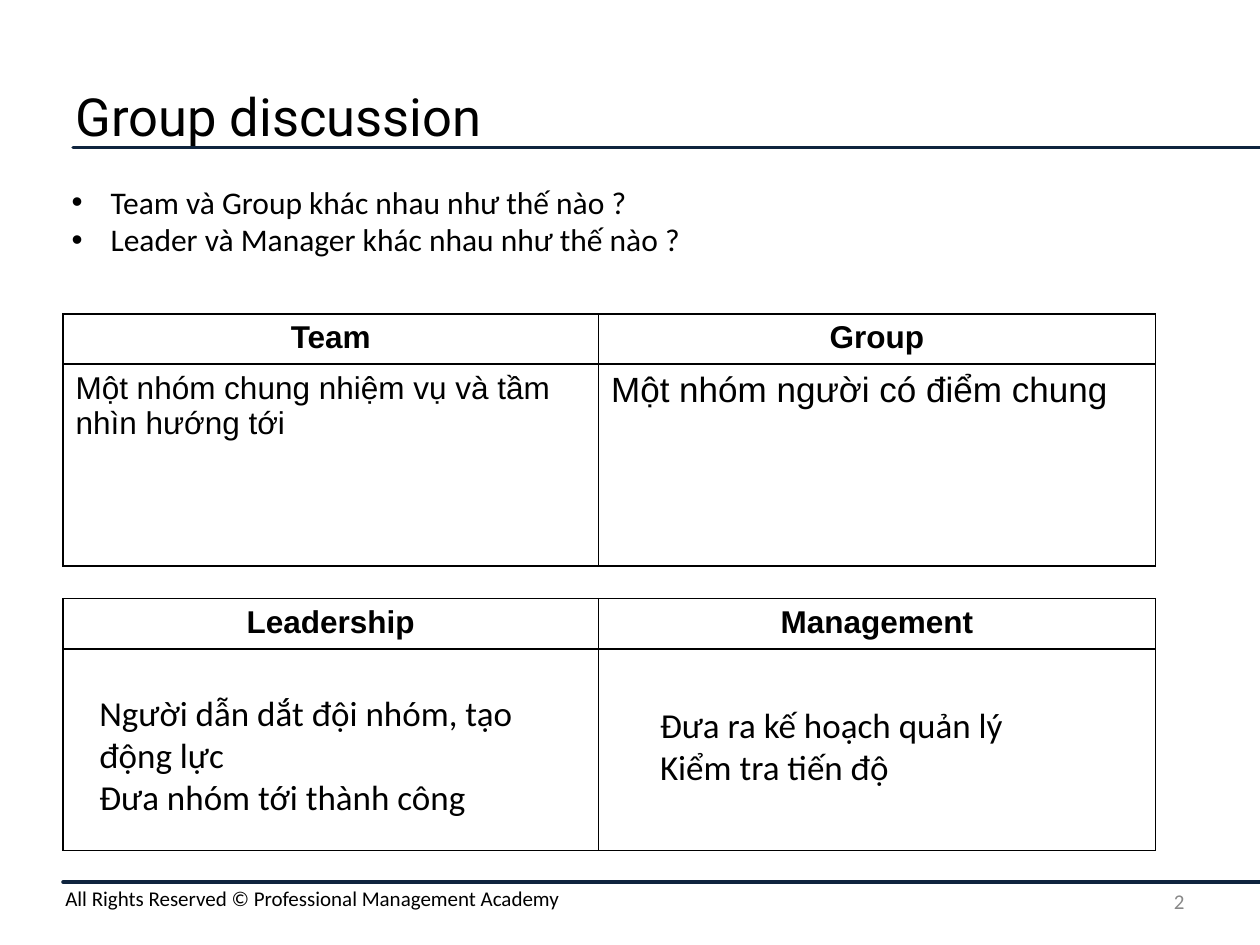
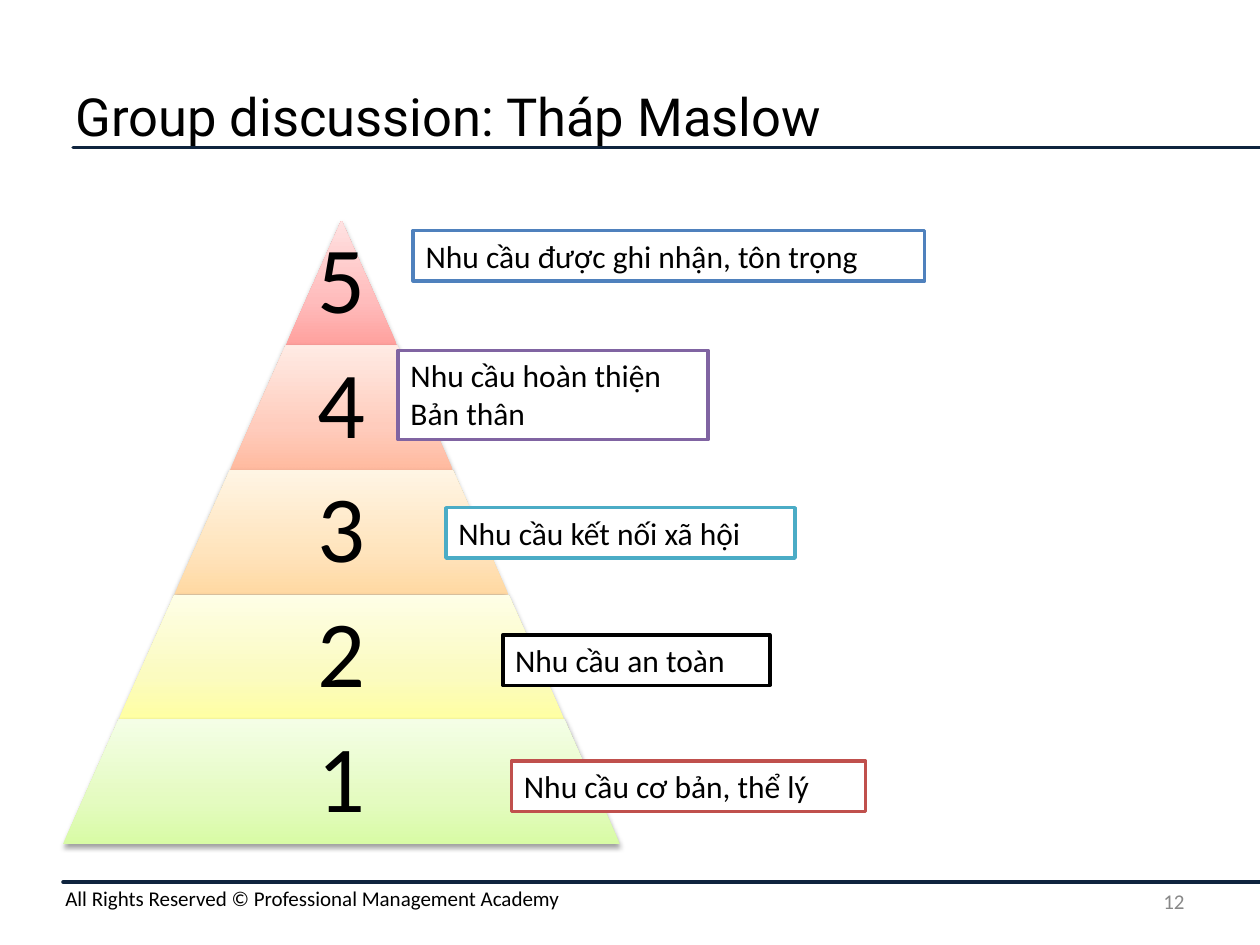
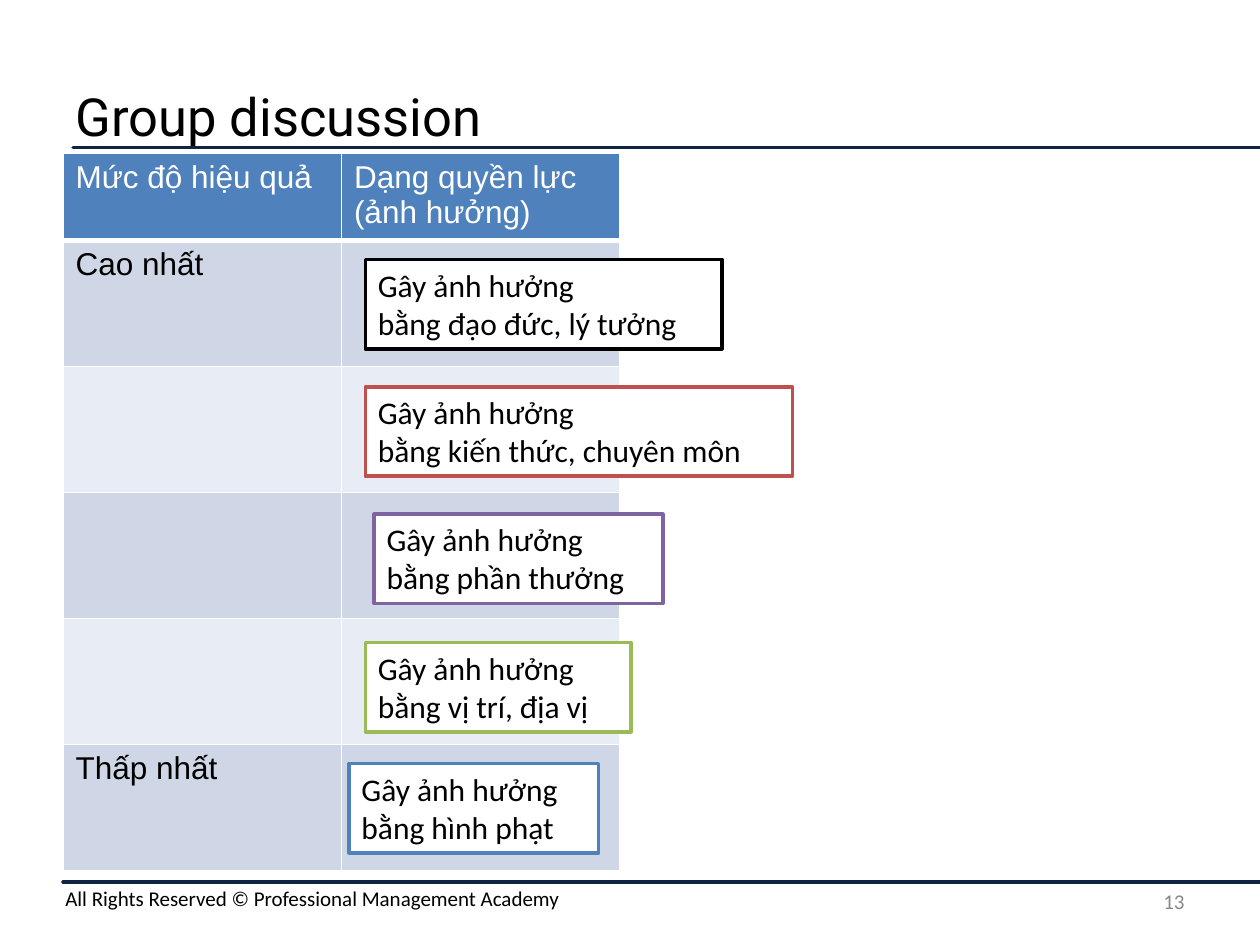
from dataclasses import dataclass

from lxml import etree
from pptx import Presentation
from pptx import util as u
from pptx.dml.color import RGBColor
from pptx.enum import shapes, text
from pptx.oxml import ns


@dataclass(frozen=True)
class Theme:
    body_font: str = "Calibri"
    title_font: str = "Roboto"
    table_font: str = "Arial"
    title_size: int = 30
    digit_size: int = 54
    large_size: int = 20
    body_size: int = 18
    footer_size: int = 12
    black: str = "000000"
    white: str = "FFFFFF"
    navy: str = "0F243E"
    gray: str = "888888"
    blue: str = "4F81BD"
    red: str = "C0504D"
    green: str = "9BBB59"
    purple: str = "8064A2"
    aqua: str = "4BACC6"
    band_dark: str = "CFD7E7"
    band_light: str = "E8ECF4"


THEME = Theme()
LEFT, CENTER, RIGHT = text.PP_ALIGN.LEFT, text.PP_ALIGN.CENTER, text.PP_ALIGN.RIGHT
TOP, MIDDLE = text.MSO_ANCHOR.TOP, text.MSO_ANCHOR.MIDDLE
FOOTER = "All Rights Reserved © Professional Management Academy"


@dataclass(frozen=True)
class Style:
    size: int = THEME.body_size
    color: str = THEME.black
    font: str = THEME.body_font
    bold: bool = False
    align: text.PP_ALIGN = LEFT
    spacing: float = 1.0


@dataclass(frozen=True)
class Card:
    """A white label with a coloured frame."""
    left: float
    top: float
    width: float
    color: str
    lines: tuple[str, ...]


@dataclass(frozen=True)
class Level:
    """One pyramid level, with gradient colours from its foot to its top."""
    digit: str
    colors: tuple[str, str, str]


BODY = Style()
LARGE = Style(size=THEME.large_size)
CELL = Style(font=THEME.table_font)
CELL_LARGE = Style(size=THEME.large_size, font=THEME.table_font)
CELL_HEAD = Style(font=THEME.table_font, bold=True, align=CENTER)
BAND_HEAD = Style(font=THEME.table_font, color=THEME.white)

LEVELS = (
    Level("5", ("FFA09D", "FFBCBC", "FFE2E2")),
    Level("4", ("FFBA9F", "FFCCBD", "FFEBE4")),
    Level("3", ("FFD8A2", "FFE4BD", "FFF5E4")),
    Level("2", ("FFFFA2", "FBFBC0", "FEFEE6")),
    Level("1", ("D8FBA5", "E4FBC0", "F4FEE6")),
)
NEEDS = (
    Card(4.06, 6.04, 2.81, THEME.red, ("Nhu cầu cơ bản, thể lý",)),
    Card(3.99, 5.04, 2.12, THEME.black, ("Nhu cầu an toàn",)),
    Card(3.54, 4.03, 2.77, THEME.aqua, ("Nhu cầu kết nối xã hội",)),
    Card(3.28, 1.83, 4.06, THEME.blue, ("Nhu cầu được ghi nhận, tôn trọng",)),
    Card(3.16, 2.78, 2.46, THEME.purple, ("Nhu cầu hoàn thiện", "Bản thân")),
)
INFLUENCE = "Gây ảnh hưởng"
POWERS = (
    Card(2.77, 6.06, 1.98, THEME.blue, (INFLUENCE, "bằng hình phạt")),
    Card(2.9, 2.06, 2.83, THEME.black, (INFLUENCE, "bằng đạo đức, lý tưởng")),
    Card(2.9, 3.07, 3.39, THEME.red, (INFLUENCE, "bằng kiến thức, chuyên môn")),
    Card(2.9, 5.1, 2.11, THEME.green, (INFLUENCE, "bằng vị trí, địa vị")),
    Card(2.97, 4.08, 2.29, THEME.purple, (INFLUENCE, "bằng phần thưởng")),
)


def rgb(color: str) -> RGBColor:
    return RGBColor.from_string(color)


def add_xml(parent, tag: str, **attributes):
    return etree.SubElement(parent, ns.qn(tag), attributes)


def write(frame, lines: tuple[str, ...], style: Style, bullet: bool = False) -> None:
    for index, line in enumerate(lines):
        para = frame.paragraphs[0] if index == 0 else frame.add_paragraph()
        para.alignment = style.align
        para.line_spacing = style.spacing
        if bullet:
            properties = para._p.get_or_add_pPr()
            indent = u.Inches(0.31)
            properties.set("marL", str(indent))
            properties.set("indent", str(-indent))
            add_xml(properties, "a:buFont", typeface="Arial")
            add_xml(properties, "a:buChar", char="•")
        span = para.add_run()
        span.text = line
        span.font.size = u.Pt(style.size)
        span.font.name = style.font
        span.font.bold = style.bold
        span.font.color.rgb = rgb(style.color)


def set_frame(frame, inset_x: float = 0.1, inset_y: float = 0.05, anchor=TOP) -> None:
    frame.word_wrap = True
    frame.auto_size = text.MSO_AUTO_SIZE.NONE
    frame.vertical_anchor = anchor
    frame.margin_left = frame.margin_right = u.Inches(inset_x)
    frame.margin_top = frame.margin_bottom = u.Inches(inset_y)


def add_text(page, left: float, top: float, width: float, height: float,
             lines: tuple[str, ...], style: Style = BODY, inset_x: float = 0.1,
             inset_y: float = 0.05, anchor=TOP, bullet: bool = False) -> None:
    box = page.shapes.add_textbox(*map(u.Inches, (left, top, width, height)))
    set_frame(box.text_frame, inset_x, inset_y, anchor)
    write(box.text_frame, lines, style, bullet)


def add_rule(page, left: float, top: float) -> None:
    """Draw a line that runs to the right edge of the slide."""
    rule = page.shapes.add_connector(
        shapes.MSO_CONNECTOR.STRAIGHT, u.Inches(left), u.Inches(top),
        u.Inches(10), u.Inches(top))
    rule.line.color.rgb = rgb(THEME.navy)
    rule.line.width = u.Pt(2)
    rule.line._get_or_add_ln().set("cap", "rnd")
    add_xml(rule._element.spPr, "a:effectLst")


def add_page(deck, heading: str, number: str):
    page = deck.slides.add_slide(deck.slide_layouts[5])
    add_rule(page, 0.58, 1.17)
    add_text(page, 7.17, 6.95, 2.33, 0.4, (number,),
             Style(THEME.footer_size, THEME.gray, align=RIGHT), anchor=MIDDLE)
    add_rule(page, 0.5, 7)
    add_text(page, 0.42, 6.98, 9.58, 0.3, (FOOTER,), Style(THEME.footer_size))
    title = page.shapes.title
    title.left, title.top = u.Inches(0.5), u.Inches(0.5)
    title.width, title.height = u.Inches(9), u.Inches(0.83)
    set_frame(title.text_frame, anchor=MIDDLE)
    write(title.text_frame, (heading,), Style(THEME.title_size, font=THEME.title_font))
    return page


def add_border(cell, side: str, color: str, width: float) -> None:
    line = add_xml(cell._tc.get_or_add_tcPr(), f"a:ln{side}", w=str(u.Pt(width)))
    add_xml(add_xml(line, "a:solidFill"), "a:srgbClr", val=color)


def add_grid(page, top: float, widths: tuple[float, ...], heights: tuple[float, ...],
             border: str, head_rule: float = 1):
    """Add a bordered table without fills; head_rule is the line under row one."""
    grid = page.shapes.add_table(
        len(heights), len(widths), u.Inches(0.5), u.Inches(top),
        u.Inches(sum(widths)), u.Inches(sum(heights))).table
    grid.first_row = grid.horz_banding = False
    for column, width in zip(grid.columns, widths):
        column.width = u.Inches(width)
    for index, (row, height) in enumerate(zip(grid.rows, heights)):
        row.height = u.Inches(height)
        for cell in row.cells:
            add_border(cell, "L", border, 1)
            add_border(cell, "R", border, 1)
            add_border(cell, "T", border, head_rule if index == 1 else 1)
            add_border(cell, "B", border, head_rule if index == 0 else 1)
            cell.fill.background()
    return grid


def add_comparison(page, top: float, heads: tuple[str, str]):
    grid = add_grid(page, top, (4.25, 4.42), (0.4, 1.6), THEME.black)
    for column, head in enumerate(heads):
        write(grid.cell(0, column).text_frame, (head,), CELL_HEAD)
    return grid


def add_cards(page, cards: tuple[Card, ...]) -> None:
    for card in cards:
        height = 0.09 + 0.31 * len(card.lines)
        box = page.shapes.add_shape(
            shapes.MSO_SHAPE.RECTANGLE,
            *map(u.Inches, (card.left, card.top, card.width, height)))
        box.shadow.inherit = False
        box.fill.solid()
        box.fill.fore_color.rgb = rgb(THEME.white)
        box.line.color.rgb = rgb(card.color)
        box.line.width = u.Pt(2)
        set_frame(box.text_frame)
        write(box.text_frame, card.lines, BODY)


def shade(shape, colors: tuple[str, str, str]) -> None:
    """Give a shape an upward gradient and a soft shadow below it."""
    shape.fill.gradient()
    shape.fill.gradient_angle = 90
    properties = shape._element.spPr
    stops = properties.find(f".//{ns.qn('a:gsLst')}")
    for stop in list(stops):
        stops.remove(stop)
    for percent, color in zip((0, 35, 100), colors):
        stop = add_xml(stops, "a:gs", pos=str(percent * 1000))
        add_xml(stop, "a:srgbClr", val=color)
    shape.line.fill.background()
    shape.shadow.inherit = False
    shadow = add_xml(properties.find(ns.qn("a:effectLst")), "a:outerShdw",
                     blurRad=str(u.Pt(3.1)), dist=str(u.Pt(1.6)),
                     dir="5400000", rotWithShape="0")
    tint = add_xml(shadow, "a:srgbClr", val=THEME.black)
    add_xml(tint, "a:alpha", val="37000")


def add_pyramid(page, left: float, top: float, width: float, height: float) -> None:
    step, level_height = width / len(LEVELS), height / len(LEVELS)
    center = left + width / 2
    style = Style(THEME.digit_size, align=CENTER, spacing=0.9)
    for index, level in enumerate(LEVELS):
        level_width = step * (index + 1)
        level_top = top + index * level_height
        block = page.shapes.add_shape(
            shapes.MSO_SHAPE.TRAPEZOID,
            *map(u.Inches, (center - level_width / 2, level_top, level_width, level_height)))
        block.adjustments[0] = step / 2 / min(level_width, level_height)
        shade(block, level.colors)
        text_width = max(step, 0.65 * level_width)
        add_text(page, center - text_width / 2, level_top, text_width, level_height,
                 (level.digit,), style, 0.07, 0.07, MIDDLE)


def build_team_page(deck) -> None:
    page = add_page(deck, "Group discussion", "2")
    teams = add_comparison(page, 2.49, ("Team", "Group"))
    write(teams.cell(1, 0).text_frame,
          ("Một nhóm chung nhiệm vụ và tầm nhìn hướng tới",), CELL)
    write(teams.cell(1, 1).text_frame, ("Một nhóm người có điểm chung",), CELL_LARGE)
    add_comparison(page, 4.75, ("Leadership", "Management"))
    add_text(page, 0.47, 1.4, 8.7, 0.71,
             ("Team và Group khác nhau như thế nào ?",
              "Leader và Manager khác nhau như thế nào ?"), bullet=True)
    add_text(page, 0.69, 5.39, 3.6, 1.21,
             ("Người dẫn dắt đội nhóm, tạo động lực", "Đưa nhóm tới thành công"),
             LARGE, inset_y=0.1)
    add_text(page, 5.14, 5.48, 3.6, 0.88,
             ("Đưa ra kế hoạch quản lý", "Kiểm tra tiến độ"), LARGE, inset_y=0.1)


def build_maslow_page(deck) -> None:
    page = add_page(deck, "Group discussion: Tháp Maslow", "12")
    add_pyramid(page, 0.5, 1.75, 4.42, 4.95)
    add_cards(page, NEEDS)


def build_power_page(deck) -> None:
    page = add_page(deck, "Group discussion", "13")
    grid = add_grid(page, 1.22, (2.21, 2.21), (0.69,) + (1,) * 5, THEME.white, 3)
    for index, row in enumerate(grid.rows):
        band = THEME.band_dark if index % 2 else THEME.band_light
        for cell in row.cells:
            cell.fill.solid()
            cell.fill.fore_color.rgb = rgb(band if index else THEME.blue)
    for column, head in enumerate(("Mức độ hiệu quả", "Dạng quyền lực (ảnh hưởng)")):
        write(grid.cell(0, column).text_frame, (head,), BAND_HEAD)
    write(grid.cell(1, 0).text_frame, ("Cao nhất",), CELL)
    write(grid.cell(5, 0).text_frame, ("Thấp nhất",), CELL)
    add_cards(page, POWERS)


def main() -> None:
    deck = Presentation()
    deck.slide_width, deck.slide_height = u.Inches(10), u.Inches(7.5)
    build_team_page(deck)
    build_maslow_page(deck)
    build_power_page(deck)
    deck.save("out.pptx")


if __name__ == "__main__":
    main()
